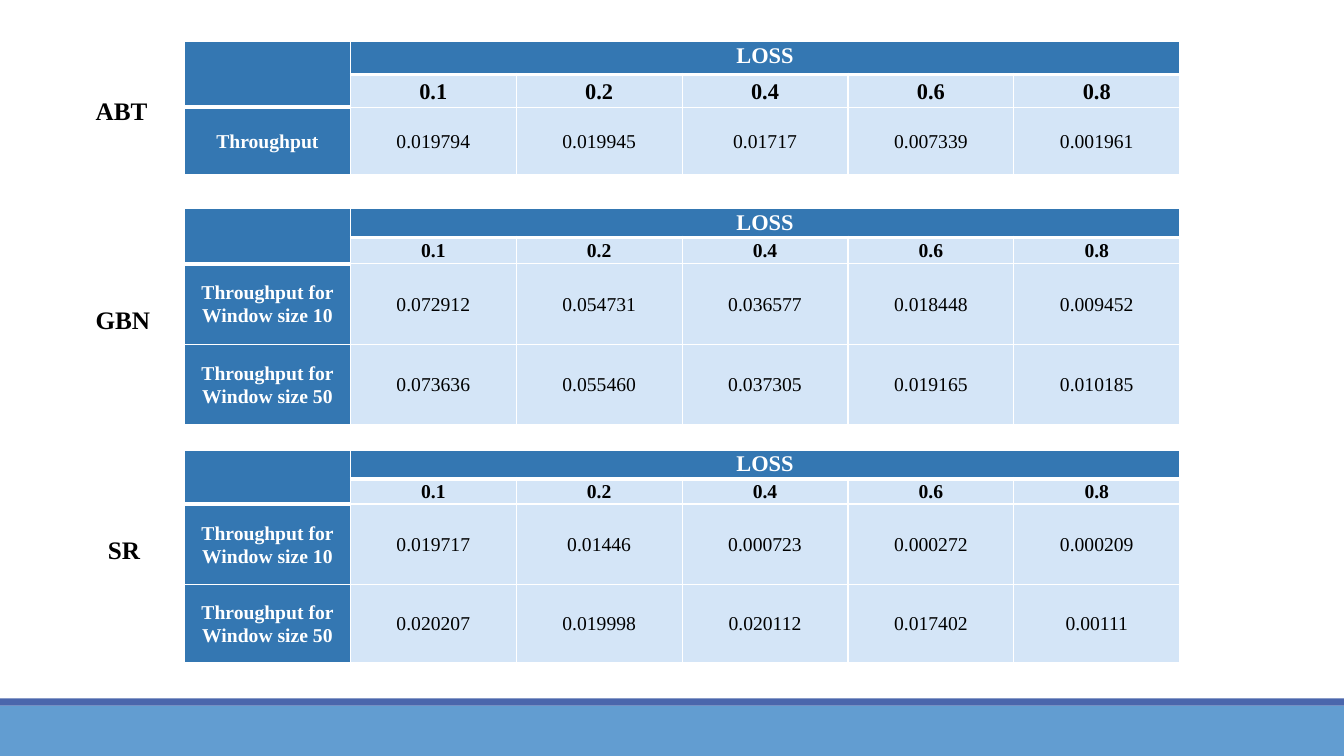
import pptx
import pptx.dml.color
import pptx.enum.shapes
import pptx.enum.text
import pptx.oxml.ns
import pptx.util
from lxml import etree

Cm = pptx.util.Cm
Pt = pptx.util.Pt
ALIGN = pptx.enum.text.PP_ALIGN
ANCHOR = pptx.enum.text.MSO_ANCHOR

COLORS = {
    "band": "629DD1", "stripe": "4A66AC", "header": "3477B2",
    "value": "D4E5F7", "white": "FFFFFF", "black": "000000",
}
LOSS_LEVELS = ["0.1", "0.2", "0.4", "0.6", "0.8"]
WINDOW_10 = "Throughput for Window size 10"
WINDOW_50 = "Throughput for Window size 50"

PROTOCOLS = [
    {"name": "ABT", "label_top": 2.29, "label_align": ALIGN.LEFT,
     "top": 1.05, "heights": [0.83, 0.82, 1.71], "level_size": 16,
     "rows": [("Throughput", "0.019794", "0.019945", "0.01717", "0.007339", "0.001961")]},
    {"name": "GBN", "label_top": 7.54, "label_align": ALIGN.LEFT,
     "top": 5.26, "heights": [0.66, 0.66, 2.03, 2.03], "level_size": 14,
     "rows": [(WINDOW_10, "0.072912", "0.054731", "0.036577", "0.018448", "0.009452"),
              (WINDOW_50, "0.073636", "0.055460", "0.037305", "0.019165", "0.010185")]},
    {"name": "SR", "label_top": 13.34, "label_align": ALIGN.CENTER,
     "top": 11.34, "heights": [0.64, 0.6, 2.03, 1.97], "level_size": 14,
     "rows": [(WINDOW_10, "0.019717", "0.01446", "0.000723", "0.000272", "0.000209"),
              (WINDOW_50, "0.020207", "0.019998", "0.020112", "0.017402", "0.00111")]},
]


def rgb(name):
    return pptx.dml.color.RGBColor.from_string(COLORS[name])


def set_attributes(target, values):
    for name, value in values.items():
        setattr(target, name, value)


class SlideBuilder:
    font_name = "Times New Roman"
    table_left = 4.65
    column_width = 4.18

    def __init__(self, slide):
        self.slide = slide

    def bar(self, top, height, color):
        shape = self.slide.shapes.add_shape(
            pptx.enum.shapes.MSO_SHAPE.RECTANGLE, 0, Cm(top), Cm(33.87), Cm(height))
        shape.shadow.inherit = False
        shape.fill.solid()
        shape.fill.fore_color.rgb = rgb(color)
        shape.line.fill.background()

    def styled_run(self, paragraph, text, size, color, bold):
        run = paragraph.add_run()
        run.text = text
        set_attributes(run.font, {"name": self.font_name, "size": Pt(size), "bold": bold})
        run.font.color.rgb = rgb(color)

    def label(self, text, top, alignment):
        shape = self.slide.shapes.add_textbox(Cm(2.16), Cm(top), Cm(1.93), Cm(1.02))
        shape.text_frame.word_wrap = True
        paragraph = shape.text_frame.paragraphs[0]
        paragraph.alignment = alignment
        self.styled_run(paragraph, text, 18, "black", True)

    def borders(self, cell, heavy_sides):
        """Draw white cell edges: 3 pt on the heavy sides, 1 pt elsewhere."""
        properties = cell._tc.get_or_add_tcPr()
        for side in "LRTB":
            width = Pt(3 if side in heavy_sides else 1)
            line = etree.SubElement(
                properties, pptx.oxml.ns.qn(f"a:ln{side}"), w=str(width))
            fill = etree.SubElement(line, pptx.oxml.ns.qn("a:solidFill"))
            etree.SubElement(fill, pptx.oxml.ns.qn("a:srgbClr"), val=COLORS["white"])

    def cell(self, cell, text, size, fill, bold, anchor, heavy_sides):
        self.borders(cell, heavy_sides)
        cell.fill.solid()
        cell.fill.fore_color.rgb = rgb(fill)
        set_attributes(cell, {
            "margin_left": Cm(0.18), "margin_right": Cm(0.18),
            "margin_top": 0, "margin_bottom": 0, "vertical_anchor": anchor})
        paragraph = cell.text_frame.paragraphs[0]
        set_attributes(paragraph, {"alignment": ALIGN.CENTER, "line_spacing": 1.07})
        if text:
            color = "white" if fill == "header" else "black"
            self.styled_run(paragraph, text, size, color, bold)
        else:
            # An empty cell must not force its row taller than the text rows.
            etree.SubElement(
                paragraph._p, pptx.oxml.ns.qn("a:endParaRPr"), sz=str(size * 100))

    def loss_table(self, top, heights, level_size, rows):
        grid = [("", "LOSS", "", "", "", ""), ("", *LOSS_LEVELS), *rows]
        columns = len(grid[0])
        table = self.slide.shapes.add_table(
            len(grid), columns, Cm(self.table_left), Cm(top),
            Cm(self.column_width * columns), Cm(sum(heights))).table
        for column in table.columns:
            column.width = Cm(self.column_width)
        for row, height in zip(table.rows, heights):
            row.height = Cm(height)
        table.cell(0, 0).merge(table.cell(1, 0))
        table.cell(0, 1).merge(table.cell(0, columns - 1))

        for row_index, row in enumerate(grid):
            for column_index, text in enumerate(row):
                header = row_index == 0 or column_index == 0
                # The heavy rule runs below LOSS and below the empty corner.
                rule_row = 1 if column_index == 0 else 0
                heavy = {rule_row: "B", rule_row + 1: "T"}.get(row_index, "")
                if row_index == 0:
                    size = 16 if text else 10
                elif row_index == 1:
                    size = level_size if text else 10
                else:
                    size = 14
                self.cell(
                    table.cell(row_index, column_index), text, size,
                    fill="header" if header else "value",
                    bold=header or row_index == 1,
                    anchor=ANCHOR.TOP if row_index == 0 else ANCHOR.MIDDLE,
                    heavy_sides=heavy)


def main():
    presentation = pptx.Presentation()
    presentation.slide_width = Cm(33.87)
    presentation.slide_height = Cm(19.05)
    builder = SlideBuilder(presentation.slides.add_slide(presentation.slide_layouts[6]))
    builder.bar(17.78, 1.27, "band")
    builder.bar(17.6, 0.18, "stripe")
    for protocol in PROTOCOLS:
        builder.loss_table(protocol["top"], protocol["heights"],
                           protocol["level_size"], protocol["rows"])
        builder.label(protocol["name"], protocol["label_top"], protocol["label_align"])
    presentation.save("out.pptx")


if __name__ == "__main__":
    main()
